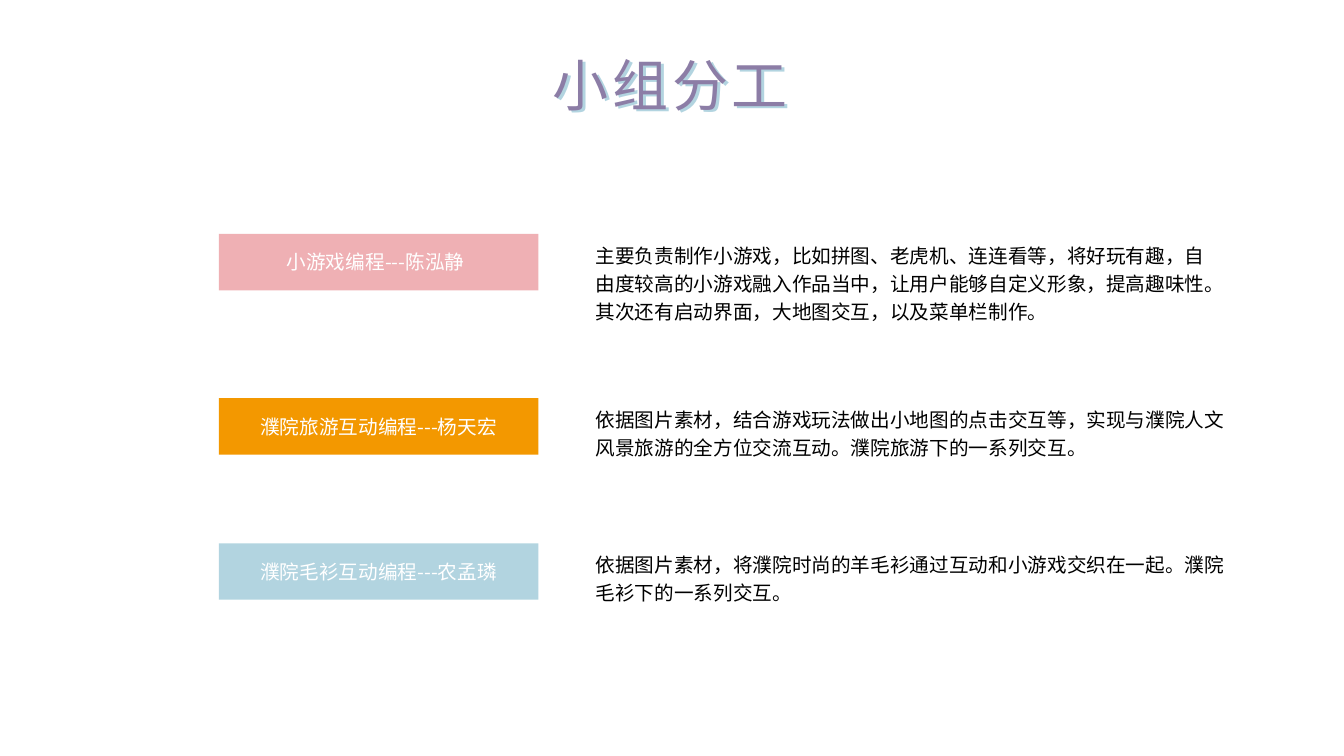
"""Build the slide that shows how the group divides its work."""
from lxml.etree import SubElement
from pptx import Presentation
from pptx.dml.color import RGBColor
from pptx.enum.shapes import MSO_SHAPE as Shape
from pptx.enum.text import MSO_ANCHOR as Anchor, MSO_AUTO_SIZE as AutoSize, PP_ALIGN as Align
from pptx.oxml.ns import qn
from pptx.util import Inches, Pt

FONT = "Noto Sans CJK SC"
PINK = RGBColor(0xEF, 0xB0, 0xB4)
ORANGE = RGBColor(0xF3, 0x98, 0x00)
BLUE = RGBColor(0xB2, 0xD4, 0xE0)
PURPLE = RGBColor(0x8C, 0x7D, 0xA6)
WHITE = RGBColor(0xFF, 0xFF, 0xFF)
BLACK = RGBColor(0x00, 0x00, 0x00)

presentation = Presentation()
presentation.slide_width = Inches(13.33)
presentation.slide_height = Inches(7.5)
slide = presentation.slides.add_slide(presentation.slide_layouts[6])


def write(shape, lines, size, color, paragraph_format, spacing=None):
    frame = shape.text_frame
    frame.word_wrap = True
    for index, line in enumerate(lines):
        paragraph = frame.add_paragraph() if index else frame.paragraphs[0]
        for name, value in paragraph_format.items():
            setattr(paragraph, name, value)
        run = paragraph.add_run()
        run.text = line
        for name, value in {"size": Pt(size), "name": FONT}.items():
            setattr(run.font, name, value)
        run.font.color.rgb = color
        properties = run.font._element
        SubElement(properties, qn("a:ea")).set("typeface", FONT)
        if spacing:
            properties.set("spc", str(spacing))


def add_block(kind, left, top, width, height, color):
    block = slide.shapes.add_shape(kind, Inches(left), Inches(top), Inches(width), Inches(height))
    block.shadow.inherit = False
    block.fill.solid()
    block.fill.fore_color.rgb = color
    block.line.fill.background()
    block.text_frame.vertical_anchor = Anchor.MIDDLE
    return block


for left, top, color in [(5.05, 0.47, BLUE), (5.02, 0.45, PURPLE)]:
    title = slide.shapes.add_textbox(Inches(left), Inches(top), Inches(3.26), Inches(0.77))
    title.text_frame.auto_size = AutoSize.SHAPE_TO_FIT_TEXT
    write(title, ["小组分工"], 40, color, {"alignment": Align.CENTER}, spacing=270)

tasks = [
    (2.32, 6.26, 0.95, PINK, "小游戏编程---陈泓静", [
        "主要负责制作小游戏，比如拼图、老虎机、连连看等，将好玩有趣，自由度较高的小游戏融入作品当中，让用户能够自定义形象，提高趣味性。",
        "其次还有启动界面，大地图交互，以及菜单栏制作。"]),
    (3.95, 6.45, 0.66, ORANGE, "濮院旅游互动编程---杨天宏", [
        "依据图片素材，结合游戏玩法做出小地图的点击交互等，实现与濮院人文风景旅游的全方位交流互动。濮院旅游下的一系列交互。"]),
    (5.39, 6.45, 0.95, BLUE, "濮院毛衫互动编程---农孟璘", [
        "依据图片素材，将濮院时尚的羊毛衫通过互动和小游戏交织在一起。濮院毛衫下的一系列交互。"]),
]
for top, width, height, color, member, duties in tasks:
    label = add_block(Shape.ROUNDED_RECTANGLE, 2.17, top, 3.17, 0.56, color)
    label.adjustments[0] = 0
    if color == PINK:
        label = add_block(Shape.OVAL, 2.28, top + 0.11, 2.89, 0.34, color)
    write(label, [member], 14, WHITE, {"alignment": Align.CENTER})

    description = slide.shapes.add_textbox(Inches(5.81), Inches(top), Inches(width), Inches(height))
    description.text_frame.auto_size = AutoSize.SHAPE_TO_FIT_TEXT
    write(description, duties, 14, BLACK, {"line_spacing": 1.2})

presentation.save("out.pptx")
